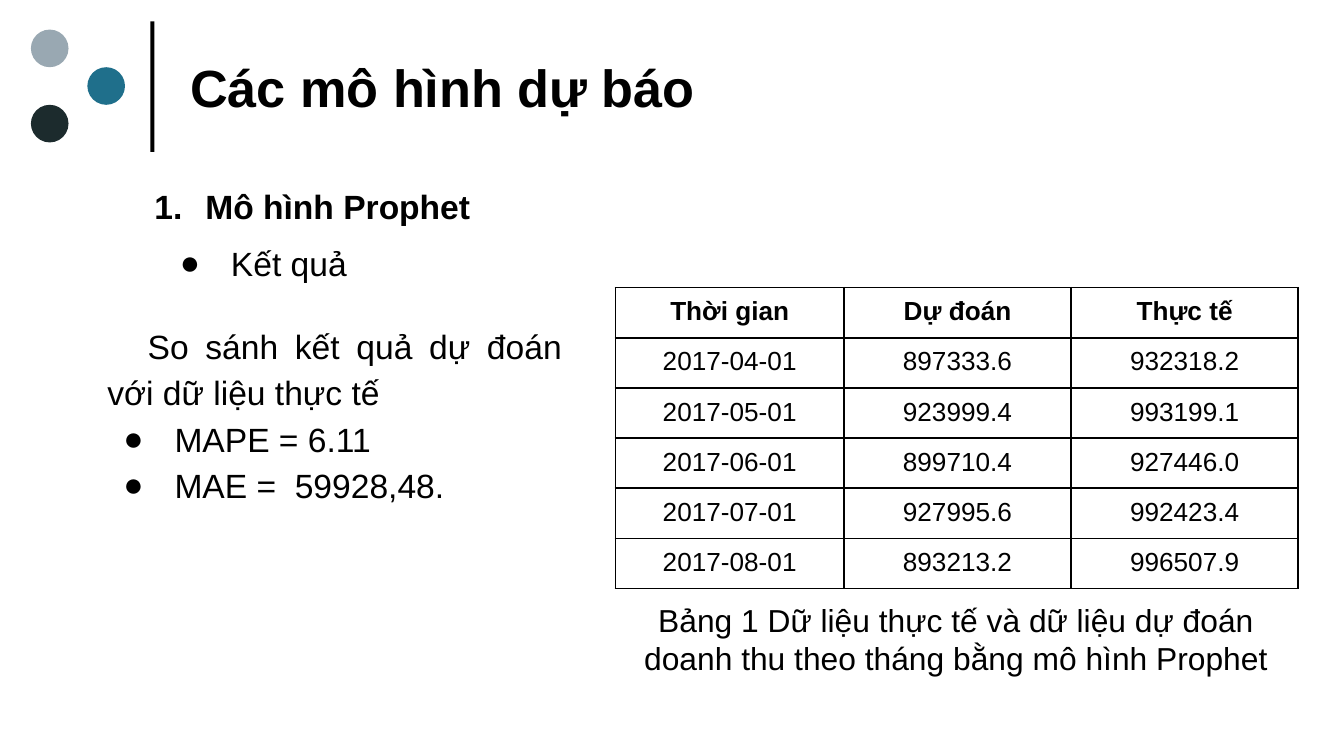
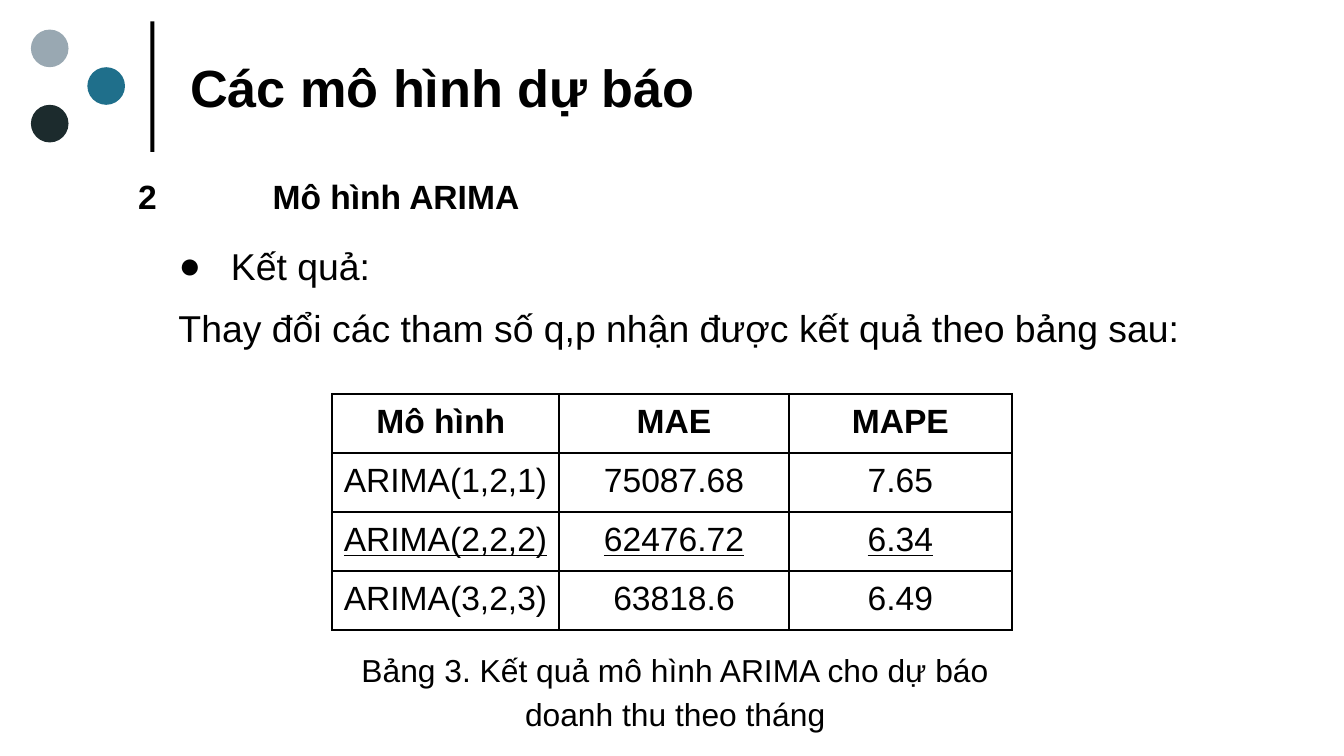
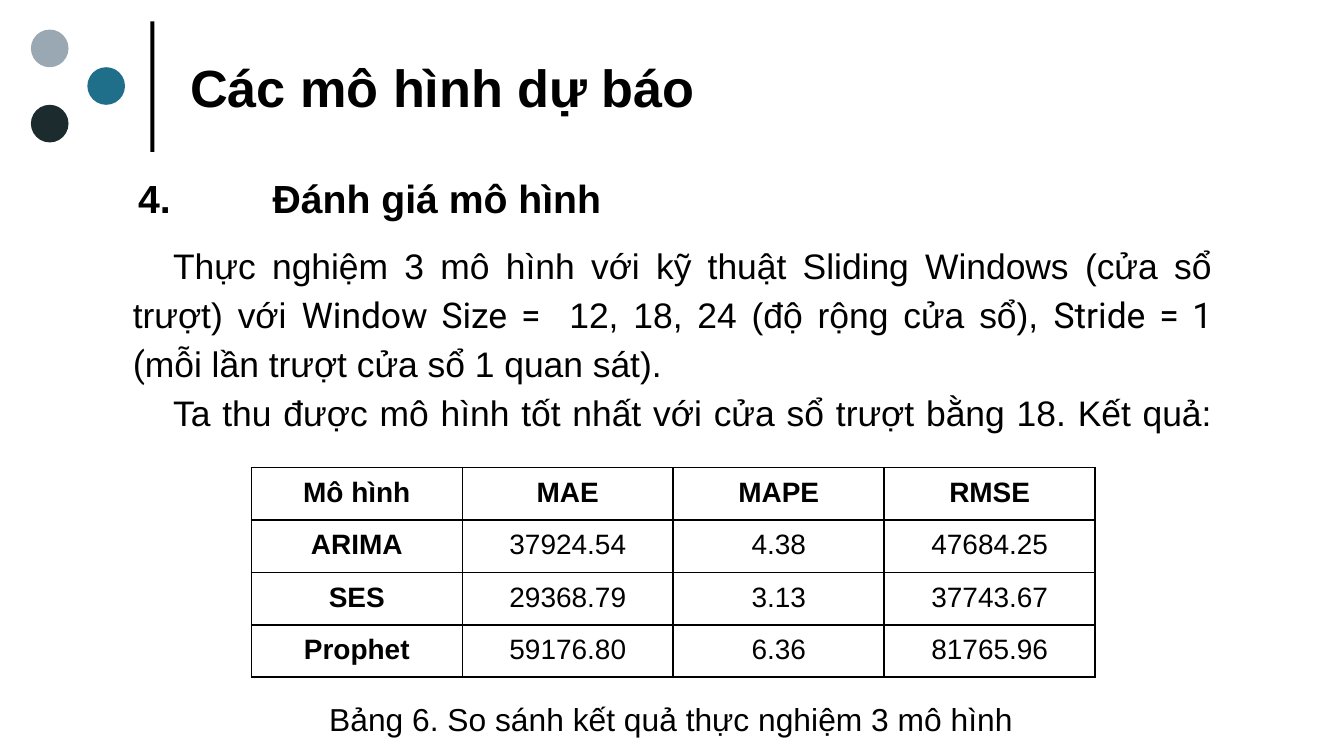
"""Build three slides that compare sales forecasting models."""
from lxml import etree
from pptx import Presentation
from pptx.dml.color import RGBColor
from pptx.enum.shapes import MSO_SHAPE
from pptx.enum.text import MSO_ANCHOR, PP_ALIGN
from pptx.oxml.ns import qn
from pptx.util import Inches, Pt

CENTER, JUSTIFY, LEFT = PP_ALIGN.CENTER, PP_ALIGN.JUSTIFY, PP_ALIGN.LEFT
TOP, MIDDLE = MSO_ANCHOR.TOP, MSO_ANCHOR.MIDDLE
OVAL, RECTANGLE = MSO_SHAPE.OVAL, MSO_SHAPE.RECTANGLE

SLIDE_WIDTH = 10
SLIDE_HEIGHT = SLIDE_WIDTH * 9 / 16
COLORS = {"black": "000000", "white": "FFFFFF", "gray": "99A8B2", "dark": "1C2B2D", "teal": "1F6F8B"}
BODY_FONT, CODE_FONT = "Arial", "Roboto"
TITLE = "Các mô hình dự báo "
DOT_SIZE = 0.28
HEADER_SHAPES = [
    (OVAL, (0.23, 0.22, DOT_SIZE, DOT_SIZE), "gray"),
    (OVAL, (0.23, 0.78, DOT_SIZE, DOT_SIZE), "dark"),
    (OVAL, (0.65, 0.5, DOT_SIZE, DOT_SIZE), "teal"),
    (RECTANGLE, (1.12, 0.16, 0.03, 0.97), "black"),
]

BULLET = {"indent": (0.5, -0.38), "bullet": "●"}
NUMBERED = {"indent": (0.5, -0.38), "bullet": "1."}
TABBED = {"tab": 1}
PROSE = {"align": JUSTIFY, "indent": (0, 0.3), "spacing": 1.15}
PROSE_BULLET = {**BULLET, "align": JUSTIFY, "spacing": 1.15}
CAPTION = {"align": CENTER}

SLIDES = [
    {
        "texts": [
            {"at": (0.93, 1.28, 3.28, 0.5), "size": 18, "bold": True,
             "paragraphs": [("Mô hình Prophet", NUMBERED)]},
            {"at": (1.12, 1.71, 1.98, 0.5), "size": 18, "paragraphs": [("Kết quả", BULLET)]},
            {"at": (0.7, 2.28, 3.58, 1.55), "size": 18, "paragraphs": [
                ("So sánh kết quả dự đoán với dữ liệu thực tế ", PROSE),
                ("MAPE = 6.11", PROSE_BULLET),
                ("MAE =  59928,48.", PROSE_BULLET)]},
            {"at": (4.47, 4.48, 5.29, 0.55), "size": 17, "anchor": MIDDLE, "paragraphs": [
                ("Bảng 1 Dữ liệu thực tế và dữ liệu dự đoán doanh thu theo tháng bằng mô hình Prophet",
                 CAPTION)]},
        ],
        "table": {
            "at": (4.58, 2.14), "columns": [1.7, 1.69, 1.69], "row": 0.37, "size": 14,
            "rows": [
                ("Thời gian", "Dự đoán", "Thực tế"),
                ("2017-04-01", "897333.6", "932318.2"),
                ("2017-05-01", "923999.4", "993199.1"),
                ("2017-06-01", "899710.4", "927446.0"),
                ("2017-07-01", "927995.6", "992423.4"),
                ("2017-08-01", "893213.2", "996507.9"),
            ],
        },
    },
    {
        "texts": [
            {"at": (0.93, 1.21, 3.28, 0.5), "size": 18, "bold": True,
             "paragraphs": [("2\tMô hình ARIMA", TABBED)]},
            {"at": (1.12, 1.71, 1.98, 0.54), "size": 20,
             "paragraphs": [("Kết quả:", {**BULLET, "indent": (0.5, -0.39)})]},
            {"at": (0.93, 2.12, 8.2, 0.54), "size": 20, "paragraphs": [
                ("Thay đổi các tham số q,p nhận được kết quả theo bảng sau:", PROSE)]},
            {"at": (2.5, 4.7, 5.05, 0.82), "size": 17, "paragraphs": [
                ("Bảng 3. Kết quả mô hình ARIMA cho dự báo doanh thu theo tháng",
                 {**CAPTION, "spacing": 1.15})]},
        ],
        "table": {
            "at": (2.47, 2.93), "columns": [1.69, 1.71, 1.66], "row": 0.44, "size": 18,
            "underlined_row": 2,
            "rows": [
                ("Mô hình ", "MAE", "MAPE"),
                ("ARIMA(1,2,1)", "75087.68", "7.65"),
                ("ARIMA(2,2,2)", "62476.72", "6.34"),
                ("ARIMA(3,2,3)", "63818.6", "6.49"),
            ],
        },
    },
    {
        "texts": [
            {"at": (0.93, 1.2, 4, 0.56), "size": 21, "bold": True,
             "paragraphs": [("4.\tĐánh giá mô hình", TABBED)]},
            {"at": (0.89, 1.67, 8.23, 1.99), "size": 19, "paragraphs": [
                ([("Thực nghiệm 3 mô hình với kỹ thuật Sliding Windows (cửa sổ trượt) với ", BODY_FONT),
                  ("Window Size = ", CODE_FONT),
                  (" 12, 18, 24 (độ rộng cửa sổ), ", BODY_FONT),
                  ("Stride = 1 (", CODE_FONT),
                  ("mỗi lần trượt cửa sổ 1 quan sát).", BODY_FONT)], PROSE),
                ("Ta thu được mô hình tốt nhất với cửa sổ trượt bằng 18. Kết quả:",
                 {**PROSE, "line_break": True})]},
            {"at": (2.09, 5.11, 5.81, 0.49), "size": 17, "paragraphs": [
                ("Bảng 6. So sánh kết quả thực nghiệm 3 mô hình", CAPTION)]},
        ],
        "table": {
            "at": (1.87, 3.48), "columns": [1.57] * 4, "row": 0.39, "size": 15,
            "bold_first_column": True,
            "rows": [
                ("Mô hình", "MAE", "MAPE", "RMSE"),
                ("ARIMA", "37924.54", "4.38", "47684.25"),
                ("SES", "29368.79", "3.13", "37743.67"),
                ("Prophet", "59176.80", "6.36", "81765.96"),
            ],
        },
    },
]


def color(name):
    return RGBColor.from_string(COLORS[name])


def add_run(paragraph, text, size, bold=False, font=BODY_FONT, underline=False):
    run = paragraph.add_run()
    run.text = text
    run.font.name = font
    run.font.size = Pt(size)
    run.font.bold = bold
    run.font.underline = underline
    run.font.color.rgb = color("black")


def add_color(parent, name):
    etree.SubElement(parent, qn("a:srgbClr"), val=COLORS[name])


def format_paragraph(paragraph, align=LEFT, indent=None, spacing=None, bullet=None, tab=None):
    paragraph.alignment = align
    if spacing:
        paragraph.line_spacing = spacing
    properties = paragraph._p.get_or_add_pPr()
    if indent:
        for key, value in zip(("marL", "indent"), indent):
            properties.set(key, str(Inches(value)))
    if bullet:
        add_color(etree.SubElement(properties, qn("a:buClr")), "black")
        etree.SubElement(properties, qn("a:buFont"), typeface=BODY_FONT)
        if bullet == "1.":
            etree.SubElement(properties, qn("a:buAutoNum"), type="arabicPeriod")
        else:
            etree.SubElement(properties, qn("a:buChar"), char=bullet)
    if tab:
        tabs = etree.SubElement(properties, qn("a:tabLst"))
        etree.SubElement(tabs, qn("a:tab"), pos=str(Inches(tab)), algn="l")


def add_text(slide, at, size, paragraphs, bold=False, anchor=TOP, margins=(0.1, 0.1)):
    frame = slide.shapes.add_textbox(*map(Inches, at)).text_frame
    frame.word_wrap = True
    frame.vertical_anchor = anchor
    frame.margin_left = frame.margin_right = Inches(margins[0])
    frame.margin_top = frame.margin_bottom = Inches(margins[1])
    for index, (content, style) in enumerate(paragraphs):
        paragraph = frame.add_paragraph() if index else frame.paragraphs[0]
        layout = {key: value for key, value in style.items() if key != "line_break"}
        format_paragraph(paragraph, **layout)
        runs = [(content, BODY_FONT)] if isinstance(content, str) else content
        for text, font in runs:
            add_run(paragraph, text, size, bold, font)
        if style.get("line_break"):
            paragraph.add_line_break()


def add_header(slide):
    for kind, at, fill in HEADER_SHAPES:
        shape = slide.shapes.add_shape(kind, *map(Inches, at))
        shape.shadow.inherit = False
        shape.fill.solid()
        shape.fill.fore_color.rgb = color(fill)
        shape.line.fill.background()
    add_text(slide, (1.15, 0.37, 4.39, 0.55), 28, [(TITLE, {"align": CENTER})],
             bold=True, anchor=MIDDLE, margins=(0.07, 0.04))


def format_cell(cell):
    cell.margin_left = cell.margin_right = cell.margin_top = cell.margin_bottom = Inches(0.07)
    properties = cell._tc.get_or_add_tcPr()
    for side in ("lnL", "lnR", "lnT", "lnB"):
        border = etree.SubElement(properties, qn(f"a:{side}"), w=str(Pt(1)))
        add_color(etree.SubElement(border, qn("a:solidFill")), "black")
    cell.fill.background()


def add_table(slide, at, columns, row, size, rows, underlined_row=None, bold_first_column=False):
    table = slide.shapes.add_table(
        len(rows), len(columns), *map(Inches, (*at, sum(columns), row * len(rows)))).table
    table.first_row = table.horz_banding = False
    for column, width in zip(table.columns, columns):
        column.width = Inches(width)
    for row_index, values in enumerate(rows):
        for column_index, value in enumerate(values):
            cell = table.cell(row_index, column_index)
            format_cell(cell)
            paragraph = cell.text_frame.paragraphs[0]
            paragraph.alignment = CENTER
            bold = row_index == 0 or (bold_first_column and column_index == 0)
            add_run(paragraph, value, size, bold, underline=row_index == underlined_row)


def main():
    presentation = Presentation()
    presentation.slide_width = Inches(SLIDE_WIDTH)
    presentation.slide_height = Inches(SLIDE_HEIGHT)
    for content in SLIDES:
        slide = presentation.slides.add_slide(presentation.slide_layouts[6])
        slide.background.fill.solid()
        slide.background.fill.fore_color.rgb = color("white")
        add_header(slide)
        for text in content["texts"]:
            add_text(slide, **text)
        add_table(slide, **content["table"])
    presentation.save("out.pptx")


if __name__ == "__main__":
    main()
